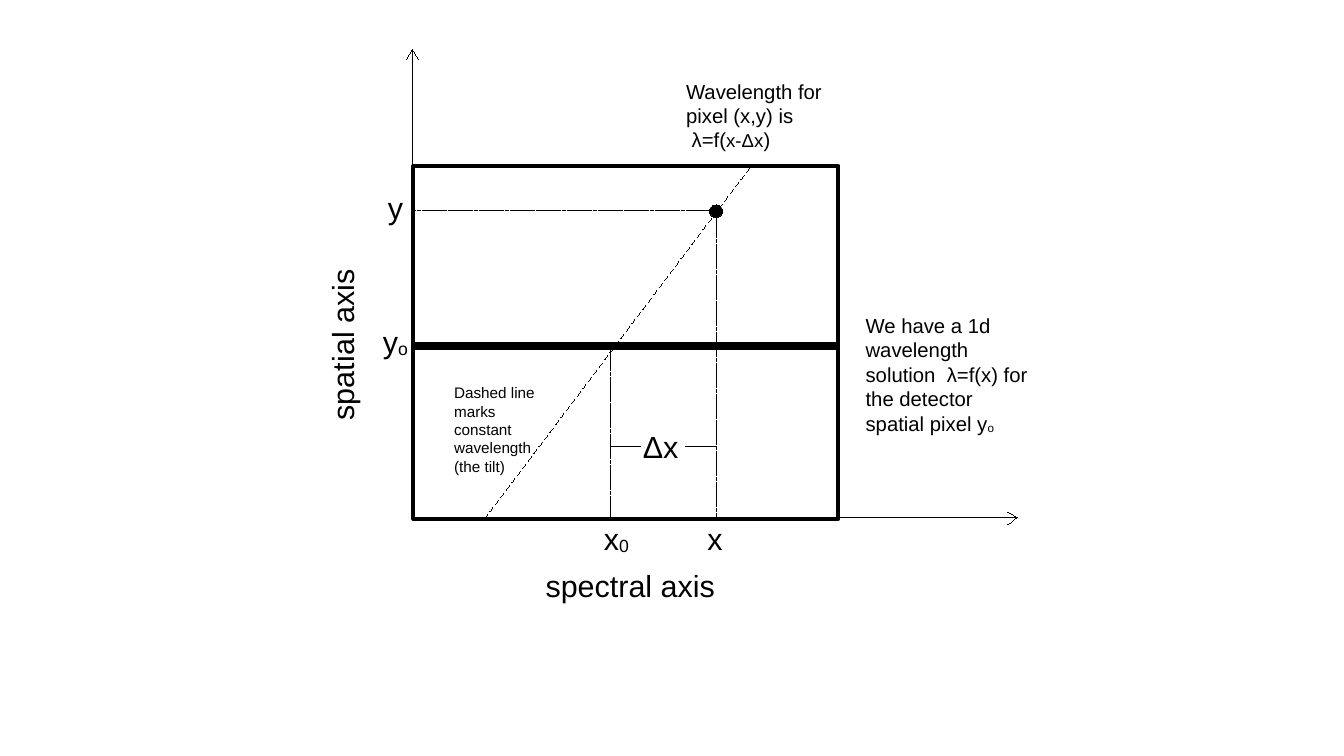
from pptx import Presentation
from pptx.dml.color import RGBColor
from pptx.enum.dml import MSO_LINE
from pptx.enum.shapes import MSO_CONNECTOR, MSO_SHAPE
from pptx.enum.text import MSO_ANCHOR
from pptx.oxml.ns import qn
from pptx.util import Pt
from lxml.etree import SubElement

HUES = {"ink": "000000", "page": "FFFFFF"}
INK = RGBColor.from_string(HUES["ink"])
HARD = chr(160)

deck = Presentation()
deck.slide_width, deck.slide_height = Pt(793.5), Pt(446.5)
slide = deck.slides.add_slide(deck.slide_layouts[6])
slide.background.fill.solid()
slide.background.fill.fore_color.rgb = RGBColor.from_string(HUES["page"])
shapes = slide.shapes


def add_line(x1, y1, x2, y2, width=0, dash=None):
    line = shapes.add_connector(
        MSO_CONNECTOR.STRAIGHT, Pt(x1), Pt(y1), Pt(x2), Pt(y2))
    line.line.color.rgb = INK
    line._element.spPr.find(qn("a:ln")).set("w", str(Pt(width)))
    if dash:
        line.line.dash_style = dash
    SubElement(line._element.spPr, qn("a:effectLst"))


def add_label(left, top, width, height, runs):
    box = shapes.add_textbox(Pt(left), Pt(top), Pt(width), Pt(height))
    box.text_frame.word_wrap = True
    para = box.text_frame.paragraphs[0]
    for text, size, base in runs:
        run = para.add_run()
        run.text = text
        run.font.name = "Arial"
        run.font.size = Pt(size)
        run.font.color.rgb = INK
        if base:
            run.font._element.set("baseline", str(base * 1000))
    return box


left, top, right, base = 244, 98, 495, 306.5
mid, row = 204.5, 124.5
zero, col = 360.5, 422.75
foot, gap = 306, 263.75
tip, end, rail = 29, 600.5, 305.5

frame = shapes.add_shape(
    MSO_SHAPE.RECTANGLE, Pt(left), Pt(top), Pt(right - left), Pt(base - top))
frame.shadow.inherit = False
frame.fill.background()
frame.line.color.rgb = INK
frame.line.width = Pt(2.3)

add_line(286, base, 443.5, top, dash=MSO_LINE.DASH)
add_line(left, mid, right, mid, width=4.5)

dot = shapes.add_shape(
    MSO_SHAPE.OVAL, Pt(col - 4), Pt(row - 3.5), Pt(8), Pt(7.5))
dot.shadow.inherit = False
dot.fill.solid()
dot.fill.fore_color.rgb = INK
dot.line.color.rgb = INK
dot._element.spPr.find(qn("a:ln")).set("w", "0")

for ends in [
    (left, base, end, rail),
    (left, base, left - 0.5, tip),
    (left - 0.5, tip, 240, 35),
    (left - 0.5, tip, 247, 35),
    (end, rail, 595, 302.5),
    (end, rail, 595, 310),
    (zero, gap, 378, gap),
    (405, gap, col, gap),
]:
    add_line(*ends)

for ends in [
    (col, 129, col, foot),
    (col, row, left, row),
    (zero, mid, zero, foot),
]:
    add_line(*ends, dash=MSO_LINE.SQUARE_DOT)

add_label(315, 331.5, 193, 27, [("spectral axis", 18, 0)])
side = add_label(96, 135, 193, 47.5, [("spatial axis", 18, 0)])
side.rotation = 270
side.text_frame.vertical_anchor = MSO_ANCHOR.BOTTOM

add_label(219, 187, 42, 27, [("y", 18, 0), ("o", 18, -8)])
add_label(349.5, 303.5, 42, 27, [("x", 18, 0), ("0", 18, -8)])
add_label(222, 108, 42, 27, [("y", 18, 0)])
add_label(410.5, 303.5, 24, 27, [("x", 18, 0)])
add_label(372.5, 249, 44, 27, [("Δx", 18, 0)])
add_label(504, 181.5, 111, 88, [
    (f"We have a 1d wavelength solution {HARD}λ=f(x) for the detector spatial pixel y", 12, 0),
    ("o", 12, -8),
])
add_label(261, 223, 67.5, 57.5, [
    ("Dashed line marks constant wavelength (the tilt)", 9, 0),
])
add_label(398, 43, 111, 88, [
    (f"Wavelength for pixel (x,y) is {HARD}λ=f(", 12, 0),
    ("x-Δx", 11, 0),
    (")", 12, 0),
])

deck.save("out.pptx")
